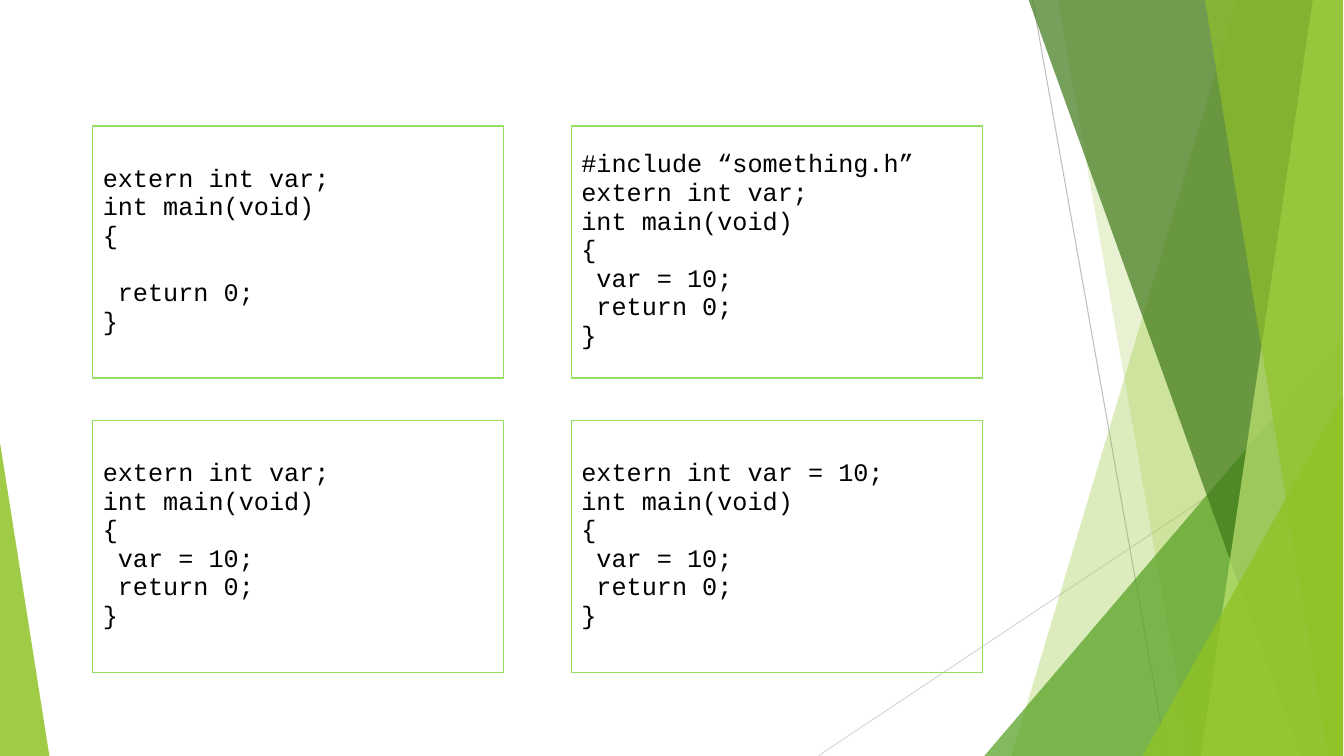
"""Builds a slide with four C listings about extern beside a faceted green border."""
import pptx
import pptx.dml.color
import pptx.enum.shapes
import pptx.enum.text
import pptx.oxml
import pptx.oxml.ns
import pptx.util

Inches = pptx.util.Inches
Pt = pptx.util.Pt
RGBColor = pptx.dml.color.RGBColor

LIME = RGBColor(0x90, 0xC2, 0x26)
GREEN = RGBColor(0x54, 0xA0, 0x21)
FOREST = RGBColor(0x3F, 0x78, 0x19)
PALE_LIME = RGBColor(0xC0, 0xE4, 0x74)
FRAME_GREEN = RGBColor(0x94, 0xDE, 0x61)
GREY = RGBColor(0xBF, 0xBF, 0xBF)
LIGHT_GREY = RGBColor(0xD9, 0xD9, 0xD9)
BLACK = RGBColor(0, 0, 0)

WIDTH, HEIGHT = 13.33, 7.5
A_NS = pptx.oxml.ns.nsdecls("a")


def write_lines(frame, lines, font="Courier New", size=18, color=BLACK):
    for index, line in enumerate(lines):
        paragraph = frame.paragraphs[0] if index == 0 else frame.add_paragraph()
        paragraph.alignment = pptx.enum.text.PP_ALIGN.LEFT
        paragraph.text = line
        for run in paragraph.runs:
            run.font.name = font
            run.font.size = Pt(size)
            run.font.color.rgb = color


class FacetSlide:
    def __init__(self, slide):
        self.shapes = slide.shapes
        self.frame_color = FRAME_GREEN
        self.frame_width = Pt(1.08)

    def hairline(self, start, end, color):
        line = self.shapes.add_connector(
            pptx.enum.shapes.MSO_CONNECTOR.STRAIGHT,
            *(Inches(value) for value in (*start, *end)))
        line.line.color.rgb = color
        line.line.width = Pt(0.75)
        line._element.spPr.append(pptx.oxml.parse_xml(f"<a:effectLst {A_NS}/>"))

    def paint(self, shape, color, opacity):
        shape.shadow.inherit = False
        shape.line.fill.background()
        shape.fill.solid()
        shape.fill.fore_color.rgb = color
        tint = shape._element.spPr.find(".//" + pptx.oxml.ns.qn("a:srgbClr"))
        tint.append(pptx.oxml.parse_xml(f'<a:alpha {A_NS} val="{opacity * 1000}"/>'))

    def facet(self, top_left, bottom_left, color, opacity):
        corners = [(top_left, 0), (WIDTH, 0), (WIDTH, HEIGHT), (bottom_left, HEIGHT)]
        points = [(Inches(x), Inches(y)) for x, y in corners]
        builder = self.shapes.build_freeform(*points[0])
        builder.add_line_segments(points[1:], close=True)
        self.paint(builder.convert_to_shape(), color, opacity)

    def corner(self, left, top, width, apex, color, opacity):
        triangle = self.shapes.add_shape(
            pptx.enum.shapes.MSO_SHAPE.ISOSCELES_TRIANGLE,
            Inches(left), Inches(top), Inches(width), Inches(HEIGHT - top))
        triangle.adjustments[0] = apex
        self.paint(triangle, color, opacity)

    def listing(self, left, top, lines):
        table = self.shapes.add_table(
            1, 1, Inches(left), Inches(top), Inches(4.08), Inches(2.5)).table
        table.first_row = table.horz_banding = False
        cell = table.cell(0, 0)
        cell.vertical_anchor = pptx.enum.text.MSO_ANCHOR.MIDDLE
        properties = cell._tc.get_or_add_tcPr()
        for side in "LRTB":
            properties.append(pptx.oxml.parse_xml(
                f'<a:ln{side} {A_NS} w="{self.frame_width}"><a:solidFill>'
                f'<a:srgbClr val="{self.frame_color}"/></a:solidFill></a:ln{side}>'))
        cell.fill.background()
        write_lines(cell.text_frame, lines)


def main():
    deck = pptx.Presentation()
    deck.slide_width, deck.slide_height = Inches(13.34), Inches(HEIGHT)
    page = FacetSlide(deck.slides.add_slide(deck.slide_layouts[6]))

    page.hairline((10.25, 0), (11.58, HEIGHT), GREY)
    page.hairline((WIDTH, 4.03), (8.12, HEIGHT), LIGHT_GREY)
    page.facet(12.28, 10.04, LIME, 30)
    page.facet(10.5, 11.82, LIME, 20)
    page.corner(9.77, 3.33, 3.56, 1, GREEN, 72)
    page.facet(10.21, 12.91, FOREST, 70)
    page.facet(13.03, 11.92, PALE_LIME, 70)
    page.facet(11.96, 13.18, LIME, 65)
    page.corner(11.34, 3.93, 1.99, 1, LIME, 80)
    page.corner(0, 4.39, 0.49, 0, LIME, 85)

    assignment = " var = 10;"
    listings = [
        ("extern int var;", " "),
        ("#include “something.h”\vextern int var;", assignment),
        ("extern int var;", assignment),
        ("extern int var = 10;", assignment),
    ]
    for index, (declaration, statement) in enumerate(listings):
        row, column = divmod(index, 2)
        page.listing(0.92 + 4.75 * column, 1.25 + 2.92 * row, [
            declaration, "int main(void)", "{", statement, " return 0;", "}"])

    deck.save("out.pptx")


if __name__ == "__main__":
    main()
